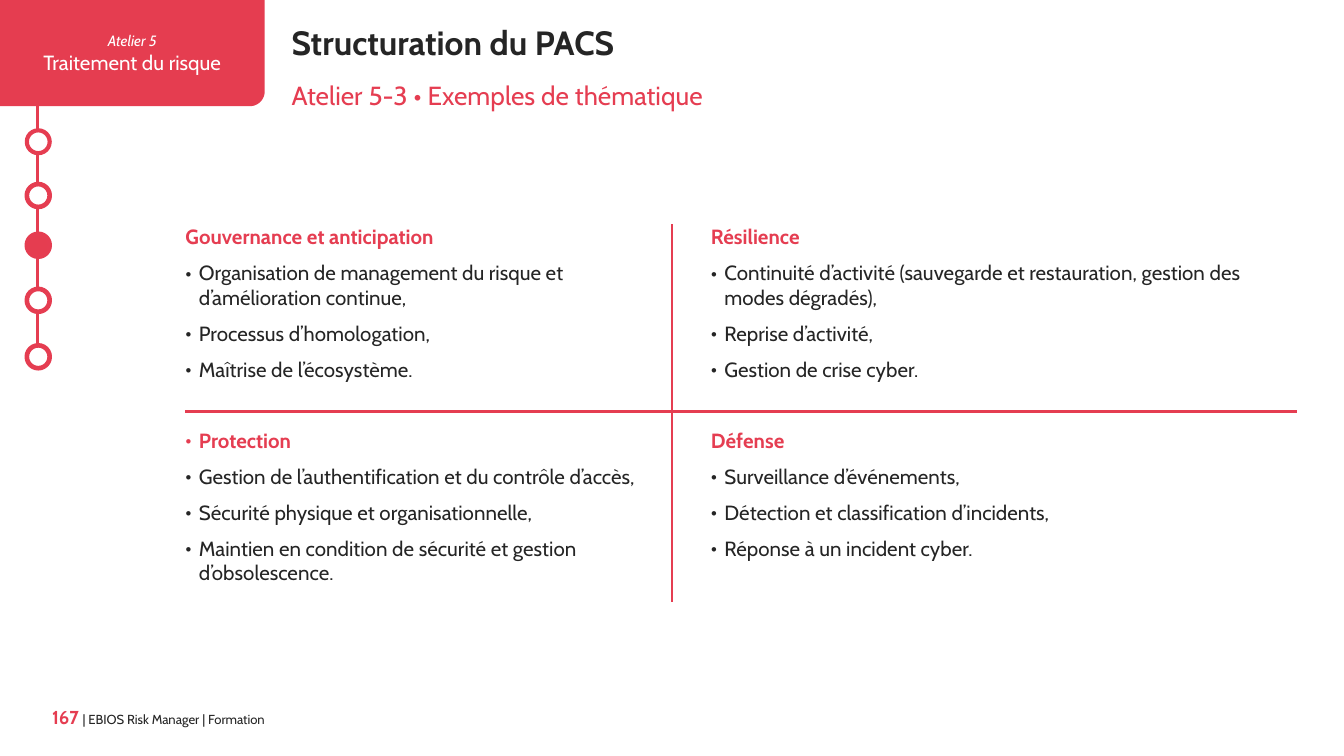
"""Build the slide on the themes of the PACS structure."""
import math

import lxml.etree
import pptx
import pptx.dml.color
import pptx.enum.shapes
import pptx.enum.text
import pptx.oxml.ns
import pptx.util

Inches = pptx.util.Inches
Pt = pptx.util.Pt
Align = pptx.enum.text.PP_ALIGN
Anchor = pptx.enum.text.MSO_ANCHOR


def color(value):
    return pptx.dml.color.RGBColor.from_string(value)


class SlideBuilder:
    font = "Cabin"
    red = "E53D51"
    tab_red = "E53D50"
    dark = "252525"
    gray = "323232"
    white = "FFFFFF"

    def __init__(self, slide):
        self.slide = slide

    def add_run(self, paragraph, text, size, fill, bold=False, italic=False):
        run = paragraph.add_run()
        run.text = text
        run.font.name = self.font
        run.font.size = Pt(size)
        run.font.bold = bold
        run.font.italic = italic
        run.font.color.rgb = color(fill)

    def prepare_frame(self, shape):
        frame = shape.text_frame
        frame.word_wrap = True
        frame.auto_size = pptx.enum.text.MSO_AUTO_SIZE.NONE
        frame.vertical_anchor = Anchor.TOP
        frame.margin_left = frame.margin_right = 0
        frame.margin_top = frame.margin_bottom = 0
        return frame

    def text_box(self, left, top, width, height):
        shape = self.slide.shapes.add_textbox(
            Inches(left), Inches(top), Inches(width), Inches(height))
        return self.prepare_frame(shape)

    def title(self, text, left, top, width, height):
        shape = self.slide.shapes.title
        shape.left, shape.top = Inches(left), Inches(top)
        shape.width, shape.height = Inches(width), Inches(height)
        paragraph = self.prepare_frame(shape).paragraphs[0]
        paragraph.alignment = Align.LEFT
        self.add_run(paragraph, text, 18, self.dark, bold=True)

    def subtitle(self, text, left, top, width, height):
        paragraph = self.text_box(left, top, width, height).paragraphs[0]
        self.add_run(paragraph, text, 14, self.red)

    def line(self, start, end, width):
        connector = self.slide.shapes.add_connector(
            pptx.enum.shapes.MSO_CONNECTOR.STRAIGHT,
            *[Inches(value) for value in (*start, *end)])
        connector.line.color.rgb = color(self.red)
        connector.line.width = Pt(width)
        lxml.etree.SubElement(
            connector._element.spPr, pptx.oxml.ns.qn("a:effectLst"))

    def step(self, left, top, size, line_width, current):
        circle = self.slide.shapes.add_shape(
            pptx.enum.shapes.MSO_SHAPE.OVAL,
            Inches(left), Inches(top), Inches(size), Inches(size))
        circle.shadow.inherit = False
        circle.fill.solid()
        circle.fill.fore_color.rgb = color(
            self.tab_red if current else self.white)
        circle.line.color.rgb = color(self.red)
        circle.line.width = Pt(line_width)

    def workshop_tab(self, number, name, width, height, radius):
        angles = [math.radians(degrees) for degrees in range(0, 91, 6)]
        corner = [(width - radius + radius * math.cos(angle),
                   height - radius + radius * math.sin(angle))
                  for angle in angles]
        points = [(width, 0), *corner, (0, height)]
        builder = self.slide.shapes.build_freeform(0, 0)
        builder.add_line_segments(
            [(Inches(x), Inches(y)) for x, y in points], close=True)
        shape = builder.convert_to_shape()
        shape.shadow.inherit = False
        shape.fill.solid()
        shape.fill.fore_color.rgb = color(self.tab_red)
        shape.line.fill.background()
        frame = self.prepare_frame(shape)
        frame.vertical_anchor = Anchor.MIDDLE
        first, second = frame.paragraphs[0], frame.add_paragraph()
        first.alignment = second.alignment = Align.CENTER
        self.add_run(first, number, 8, self.white, italic=True)
        self.add_run(second, name, 11, self.white)

    def bullet(self, paragraph):
        properties = paragraph._p.get_or_add_pPr()
        properties.set("marL", str(Inches(0.1)))
        properties.set("indent", str(-Inches(0.1)))
        for tag, name, value in (("a:buFont", "typeface", self.font),
                                 ("a:buChar", "char", "•")):
            mark = lxml.etree.SubElement(properties, pptx.oxml.ns.qn(tag))
            mark.set(name, value)

    def themes(self, groups, left, top, width, height):
        frame = self.text_box(left, top, width, height)
        for index, (heading, marked, items) in enumerate(groups):
            paragraph = frame.add_paragraph() if index else frame.paragraphs[0]
            if marked:
                self.bullet(paragraph)
            if index:
                paragraph.space_before = Pt(19)
            paragraph.space_after = Pt(6)
            self.add_run(paragraph, heading, 11, self.red, bold=True)
            for item in items:
                paragraph = frame.add_paragraph()
                self.bullet(paragraph)
                paragraph.space_after = Pt(6)
                self.add_run(paragraph, item, 11, self.dark)

    def footer(self, number, text, left, top, width, height):
        paragraph = self.text_box(left, top, width, height).paragraphs[0]
        paragraph.alignment = Align.RIGHT
        self.add_run(paragraph, number, 10, self.red, bold=True)
        self.add_run(paragraph, " ", 9, self.gray)
        self.add_run(paragraph, text, 7, self.dark)


def main():
    presentation = pptx.Presentation()
    presentation.slide_width = Inches(10)
    presentation.slide_height = Inches(10 * 9 / 16)
    slide = presentation.slides.add_slide(presentation.slide_layouts[5])
    builder = SlideBuilder(slide)

    builder.line((0.28, 0.67), (0.28, 2.74), 1.25)
    for index, top in enumerate((0.97, 1.37, 1.74, 2.15, 2.57)):
        builder.step(0.2, top, 0.17, 2.5 if index else 2.25, index == 2)
    builder.workshop_tab("Atelier 5", "Traitement du risque", 1.97, 0.79, 0.11)
    builder.footer("167", "| EBIOS Risk Manager | Formation",
                   0.2, 5.25, 1.77, 0.2)

    builder.themes([
        ("Gouvernance et anticipation", False, [
            "Organisation de management du risque et d’amélioration continue,",
            "Processus d’homologation,",
            "Maîtrise de l’écosystème.",
        ]),
        ("Protection", True, [
            "Gestion de l’authentification et du contrôle d’accès,",
            "Sécurité physique et organisationnelle,",
            "Maintien en condition de sécurité et gestion d’obsolescence.",
        ]),
    ], 1.38, 1.67, 3.62, 2.71)
    builder.themes([
        ("Résilience", False, [
            "Continuité d’activité (sauvegarde et restauration, gestion des "
            "modes dégradés),",
            "Reprise d’activité,",
            "Gestion de crise cyber.",
        ]),
        ("Défense", False, [
            "Surveillance d’événements,",
            "Détection et classification d’incidents,",
            "Réponse à un incident cyber.",
        ]),
    ], 5.29, 1.67, 4.36, 2.52)
    builder.line((5, 1.67), (5, 4.48), 1.5)
    builder.line((1.38, 3.06), (9.65, 3.06), 1.5)

    builder.title("Structuration du PACS", 2.17, 0.16, 7.48, 0.3)
    builder.subtitle("Atelier 5-3 • Exemples de thématique",
                     2.17, 0.59, 7.04, 0.24)
    presentation.save("out.pptx")


if __name__ == "__main__":
    main()
